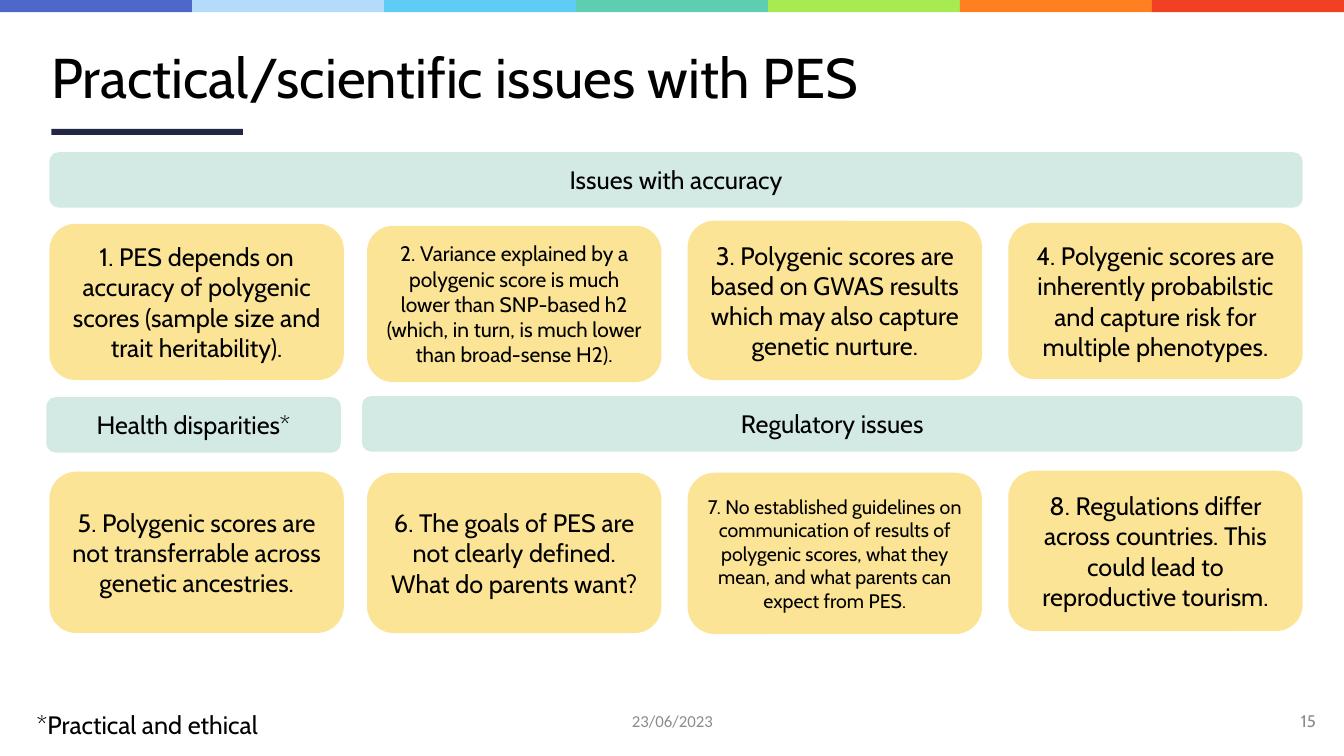
from dataclasses import dataclass

from pptx import Presentation
from pptx.dml.color import RGBColor
from pptx.enum.shapes import MSO_SHAPE
from pptx.enum.text import MSO_ANCHOR, MSO_AUTO_SIZE, PP_ALIGN
from pptx.shapes.autoshape import Shape
from pptx.slide import Slide
from pptx.util import Inches, Pt

RECTANGLE = MSO_SHAPE.RECTANGLE
ROUNDED = MSO_SHAPE.ROUNDED_RECTANGLE
MIDDLE = MSO_ANCHOR.MIDDLE
NO_AUTOFIT = MSO_AUTO_SIZE.NONE
LEFT, CENTER, RIGHT = PP_ALIGN.LEFT, PP_ALIGN.CENTER, PP_ALIGN.RIGHT

BLACK = RGBColor(0x00, 0x00, 0x00)
GRAY = RGBColor(0x8C, 0x8C, 0x8C)
NAVY = RGBColor(0x21, 0x27, 0x45)
YELLOW = RGBColor(0xFB, 0xE4, 0x96)
MINT = RGBColor(0xD3, 0xEA, 0xE4)
STRIPE_COLORS = [
    RGBColor(0x4E, 0x67, 0xC8),
    RGBColor(0xB4, 0xDC, 0xFA),
    RGBColor(0x5E, 0xCC, 0xF3),
    RGBColor(0x5D, 0xCE, 0xAF),
    RGBColor(0xA7, 0xEA, 0x52),
    RGBColor(0xFF, 0x80, 0x21),
    RGBColor(0xF1, 0x41, 0x24),
]

SLIDE_WIDTH, SLIDE_HEIGHT = 13.33, 7.5
COLUMN_LEFTS = [0.49, 3.64, 6.82, 10.0]
CARD_WIDTH = 2.92
BANNER_HEIGHT = 0.55


@dataclass
class Issue:
    text: str
    top: float
    height: float
    size: int = 18


@dataclass
class Banner:
    text: str
    left: float
    top: float
    width: float


@dataclass
class Note:
    text: str
    left: float
    top: float
    width: float
    height: float
    size: int
    color: RGBColor
    align: PP_ALIGN
    font: str = "Cabin"


ISSUE_ROWS = [
    [
        Issue("1. PES depends on accuracy of polygenic scores "
              "(sample size and trait heritability).", 2.22, 1.55),
        Issue("2. Variance explained by a polygenic score is much lower than SNP-based h2 "
              "(which, in turn, is much lower than broad-sense H2).", 2.24, 1.55, 15),
        Issue("3. Polygenic scores are based on GWAS results "
              "which may also capture genetic nurture.", 2.19, 1.58),
        Issue("4. Polygenic scores are inherently probabilstic "
              "and capture risk for multiple phenotypes.", 2.21, 1.55),
    ],
    [
        Issue("5. Polygenic scores are not transferrable across genetic ancestries.", 4.68, 1.6),
        Issue("6. The goals of PES are not clearly defined. What do parents want?", 4.69, 1.59),
        Issue("7. No established guidelines on communication of results of polygenic scores, "
              "what they mean, and what parents can expect from PES.", 4.69, 1.6, 14),
        Issue("8. Regulations differ across countries. "
              "This could lead to reproductive tourism.", 4.67, 1.59),
    ],
]

BANNERS = [
    Banner("Issues with accuracy", 0.49, 1.51, 12.43),
    Banner("Health disparities*", 0.46, 3.94, CARD_WIDTH),
    Banner("Regulatory issues", 3.59, 3.93, 9.33),
]

NOTES = [
    Note("15", 12.7, 6.95, 0.45, 0.4, 12, GRAY, RIGHT),
    Note("23/06/2023", 5.17, 6.95, 3, 0.4, 12, GRAY, CENTER, "Calibri"),
    Note("*Practical and ethical", 0, 6.91, CARD_WIDTH, BANNER_HEIGHT, 18, BLACK, CENTER),
]


def write_text(box: Shape, text: str, size: int, color: RGBColor = BLACK,
               align: PP_ALIGN = CENTER, font: str = "Cabin") -> None:
    frame = box.text_frame
    frame.text = text
    frame.word_wrap = True
    frame.auto_size = NO_AUTOFIT
    frame.vertical_anchor = MIDDLE
    para = frame.paragraphs[0]
    para.alignment = align
    para.font.name = font
    para.font.size = Pt(size)
    para.font.color.rgb = color


def add_block(page: Slide, kind: MSO_SHAPE, left: float, top: float,
              width: float, height: float, color: RGBColor) -> Shape:
    block = page.shapes.add_shape(kind, Inches(left), Inches(top), Inches(width), Inches(height))
    block.shadow.inherit = False
    block.fill.solid()
    block.fill.fore_color.rgb = color
    block.line.fill.background()
    return block


def add_title(page: Slide, text: str) -> None:
    title = page.shapes.title
    title.left, title.top = Inches(0.41), Inches(0.42)
    title.width, title.height = Inches(12.51), Inches(0.76)
    write_text(title, text, 40, align=LEFT)
    title.text_frame.paragraphs[0].line_spacing = 0.9


def add_note(page: Slide, note: Note) -> None:
    box = page.shapes.add_textbox(Inches(note.left), Inches(note.top),
                                  Inches(note.width), Inches(note.height))
    write_text(box, note.text, note.size, note.color, note.align, note.font)


def main() -> None:
    deck = Presentation()
    deck.slide_width, deck.slide_height = Inches(SLIDE_WIDTH), Inches(SLIDE_HEIGHT)
    page = deck.slides.add_slide(deck.slide_layouts[5])

    stripe_width = SLIDE_WIDTH / len(STRIPE_COLORS)
    for index, color in enumerate(STRIPE_COLORS):
        add_block(page, RECTANGLE, index * stripe_width, 0, stripe_width, 0.12, color)
    add_block(page, RECTANGLE, 0.51, 1.28, 1.9, 0.06, NAVY)
    add_title(page, "Practical/scientific issues with PES")

    for row in ISSUE_ROWS:
        for left, issue in zip(COLUMN_LEFTS, row):
            card = add_block(page, ROUNDED, left, issue.top, CARD_WIDTH, issue.height, YELLOW)
            write_text(card, issue.text, issue.size)
    for banner in BANNERS:
        bar = add_block(page, ROUNDED, banner.left, banner.top,
                        banner.width, BANNER_HEIGHT, MINT)
        write_text(bar, banner.text, 18)
    for note in NOTES:
        add_note(page, note)

    deck.save("out.pptx")


if __name__ == "__main__":
    main()
